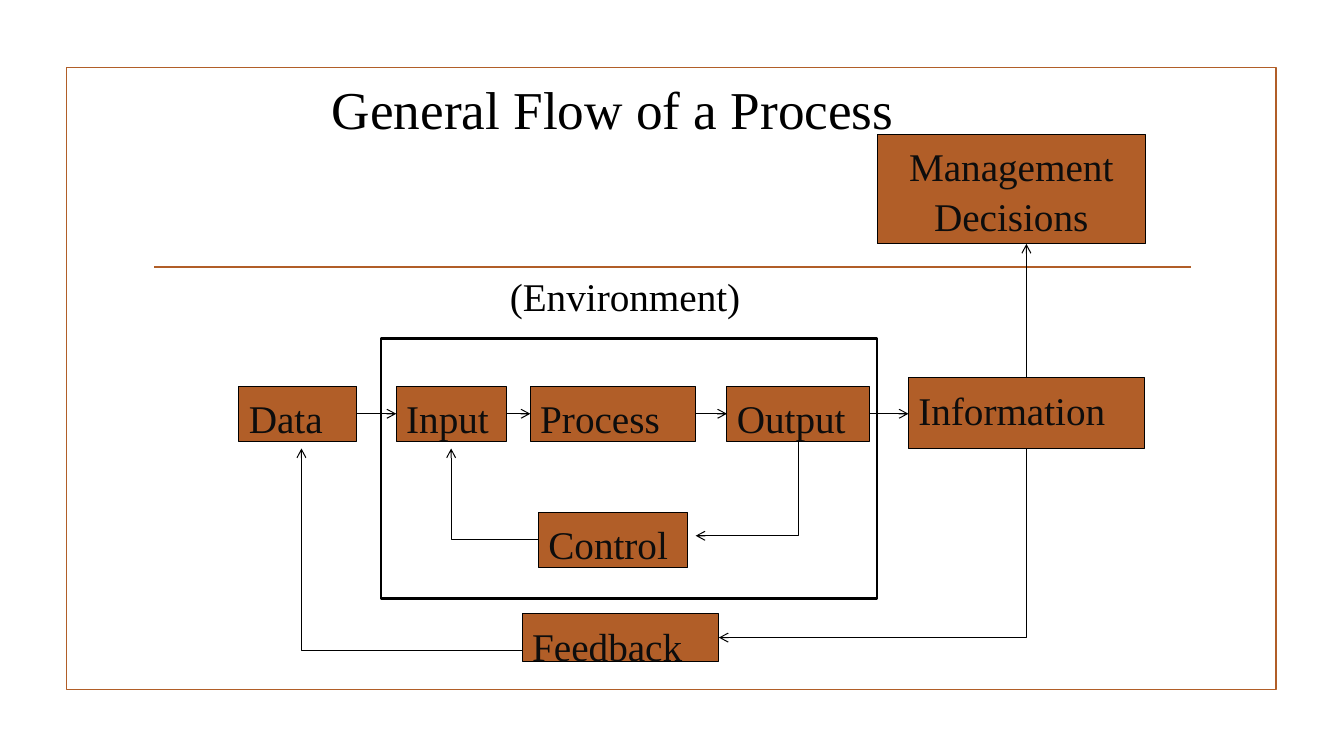
"""Build a slide that shows the general flow of a process."""
from dataclasses import dataclass

from lxml.etree import SubElement
from pptx import Presentation
from pptx.dml.color import RGBColor
from pptx.enum.shapes import MSO_CONNECTOR, MSO_SHAPE
from pptx.enum.text import MSO_ANCHOR, MSO_AUTO_SIZE, PP_ALIGN
from pptx.oxml.ns import qn
from pptx.util import Inches, Pt


@dataclass(frozen=True)
class Theme:
    """Colours, type sizes and line widths of the slide."""
    accent: RGBColor = RGBColor(0xB1, 0x5E, 0x28)
    ink: RGBColor = RGBColor(0, 0, 0)
    step_text: RGBColor = RGBColor(0x0D, 0x0D, 0x0D)
    font: str = "Times New Roman"
    title_size: float = 38
    label_size: float = 28
    line_spacing: float = 1.07
    thin: float = 0.75
    trim: float = 1.25
    thick: float = 1.75


@dataclass(frozen=True)
class Box:
    """A rectangle in inches."""
    left: float
    top: float
    width: float
    height: float

    @property
    def right(self):
        """Return the right edge."""
        return self.left + self.width

    @property
    def bottom(self):
        """Return the bottom edge."""
        return self.top + self.height

    @property
    def middle(self):
        """Return the vertical centre."""
        return self.top + self.height / 2

    def inner(self, dx, dy, width, height):
        """Return a box offset from this one's top left corner."""
        return Box(self.left + dx, self.top + dy, width, height)

    def lengths(self):
        """Return left, top, width and height as lengths."""
        return [Inches(n) for n in (self.left, self.top, self.width, self.height)]


THEME = Theme()


def write(frame, text, size, color, align):
    """Set the single paragraph of a text frame, anchored at the top."""
    frame.word_wrap = True
    frame.auto_size = MSO_AUTO_SIZE.NONE
    frame.vertical_anchor = MSO_ANCHOR.TOP
    frame.text = text
    paragraph = frame.paragraphs[0]
    paragraph.alignment = align
    paragraph.line_spacing = THEME.line_spacing
    paragraph.font.name = THEME.font
    paragraph.font.size = Pt(size)
    paragraph.font.color.rgb = color


def add_outline(slide, box, color, width):
    """Add an unfilled rectangle."""
    outline = slide.shapes.add_shape(MSO_SHAPE.RECTANGLE, *box.lengths())
    outline.shadow.inherit = False
    outline.fill.background()
    outline.line.color.rgb = color
    outline.line.width = Pt(width)
    return outline


def add_step(slide, box, text, align=PP_ALIGN.LEFT):
    """Add a filled step of the flow and return its box."""
    step = add_outline(slide, box, THEME.ink, THEME.thin)
    step.fill.solid()
    step.fill.fore_color.rgb = THEME.accent
    write(step.text_frame, text, THEME.label_size, THEME.step_text, align)
    return box


def add_line(slide, start, end, color, width, kind=MSO_CONNECTOR.STRAIGHT):
    """Add a connector without shadow."""
    line = slide.shapes.add_connector(kind, *[Inches(n) for n in (*start, *end)])
    line.line.color.rgb = color
    line.line.width = Pt(width)
    SubElement(line._element.spPr, qn("a:effectLst"))
    return line


def add_arrow(slide, start, end, kind=MSO_CONNECTOR.STRAIGHT):
    """Add a thin connector with an open arrowhead at its end."""
    arrow = add_line(slide, start, end, THEME.ink, THEME.thin, kind)
    SubElement(arrow.line._get_or_add_ln(), qn("a:tailEnd"), type="arrow")
    return arrow


def add_elbow(slide, start, end, down_first=False):
    """Add an arrow with one corner, leaving sideways or downwards to the left."""
    if down_first:
        center_x, center_y = (start[0] + end[0]) / 2, (start[1] + end[1]) / 2
        half_x, half_y = (start[0] - end[0]) / 2, (end[1] - start[1]) / 2
        start = center_x - half_y, center_y - half_x
        end = center_x + half_y, center_y + half_x
    elbow = add_arrow(slide, start, end, MSO_CONNECTOR.ELBOW)
    properties = elbow._element.spPr
    properties.find(qn("a:prstGeom")).set("prst", "bentConnector2")
    if down_first:
        properties.find(qn("a:xfrm")).set("rot", "5400000")


def add_link(slide, source, target, y):
    """Add a level arrow between two steps."""
    add_arrow(slide, (source.right, y), (target.left, y))


def draw_page(slide, box):
    """Draw the page border, the rule and the title."""
    add_outline(slide, box, THEME.accent, THEME.trim)
    rule = box.inner(0.87, 1.98, 10.28, 0)
    add_line(slide, (rule.left, rule.top), (rule.right, rule.top),
             THEME.accent, THEME.trim)
    title = slide.shapes.title
    title.left, title.top, title.width, title.height = box.inner(
        1.16, -0.01, 8.52, 0.74).lengths()
    write(title.text_frame, "General Flow of a Process", THEME.title_size,
          THEME.ink, PP_ALIGN.CENTER)


def draw_environment(slide, box):
    """Draw the environment with its inner steps and return the outermost two."""
    label = slide.shapes.add_textbox(*box.inner(0, -0.74, 4.84, 0.55).lengths())
    write(label.text_frame, "(Environment)", THEME.label_size, THEME.ink,
          PP_ALIGN.CENTER)
    entry, process, output = [
        add_step(slide, box.inner(dx, 0.47, width, 0.55), text)
        for text, dx, width in (
            ("Input", 0.15, 1.09), ("Process", 1.48, 1.64), ("Output", 3.43, 1.41))]
    control = add_step(slide, box.inner(1.56, 1.72, 1.48, 0.55), "Control")
    add_link(slide, entry, process, entry.middle)
    add_link(slide, process, output, process.middle)
    add_elbow(slide, (output.left + output.width / 2, output.bottom),
              (control.right + 0.08, control.middle - 0.04), down_first=True)
    add_elbow(slide, (control.left, control.middle),
              (entry.left + entry.width / 2, entry.bottom + 0.07))
    add_outline(slide, box, THEME.ink, THEME.thick)
    return entry, output


def draw_surroundings(slide, box, entry, output):
    """Draw the steps around the environment and link them to it."""
    data = add_step(slide, box.inner(0, 2.5, 1.17, 0.55), "Data")
    information = add_step(slide, box.inner(6.64, 2.42, 2.34, 0.7), "Information")
    decisions = add_step(slide, box.inner(6.33, 0, 2.66, 1.09),
                         "Management Decisions", PP_ALIGN.CENTER)
    feedback = add_step(slide, box.inner(2.81, 4.76, 1.95, 0.47), "Feedback")
    center = information.left + information.width / 2
    add_link(slide, data, entry, data.middle)
    add_link(slide, output, information, output.middle)
    add_arrow(slide, (center, information.top), (center, decisions.bottom))
    add_elbow(slide, (center, information.bottom),
              (feedback.right, feedback.middle), down_first=True)
    add_elbow(slide, (feedback.left, feedback.bottom - 0.11),
              (data.left + 0.62, data.bottom + 0.07))


def main():
    """Build and save the presentation."""
    deck = Presentation()
    deck.slide_width, deck.slide_height = Inches(13.33), Inches(7.5)
    slide = deck.slides.add_slide(deck.slide_layouts[5])
    draw_page(slide, Box(0.66, 0.67, 12, 6.17))
    entry, output = draw_environment(slide, Box(3.78, 3.36, 4.92, 2.58))
    draw_surroundings(slide, Box(2.37, 1.33, 8.99, 5.23), entry, output)
    deck.save("out.pptx")


if __name__ == "__main__":
    main()
